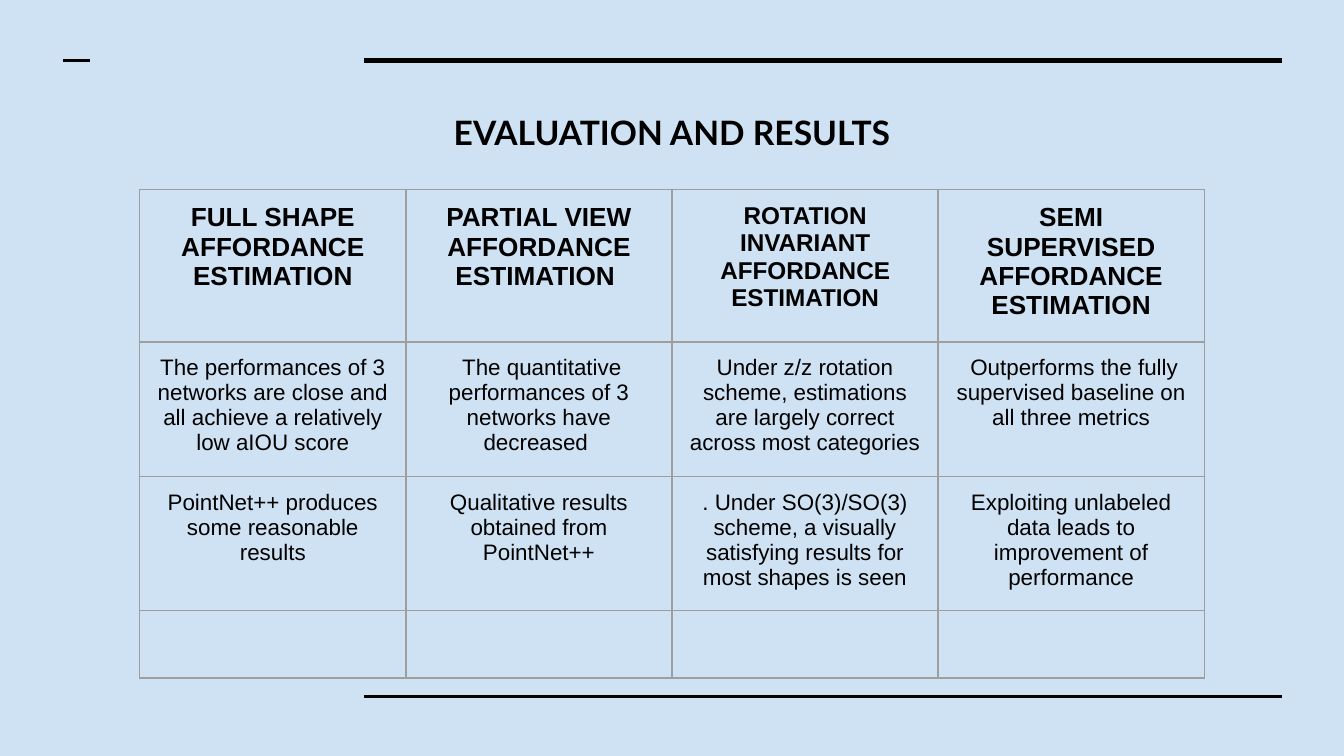
import lxml.etree
import pptx
import pptx.dml.color
import pptx.enum.shapes
import pptx.enum.text
import pptx.oxml.ns
import pptx.util

WIDTH = 10
HEIGHT = WIDTH * 9 / 16
INK, GRID, BACKGROUND = "000000", "9E9E9E", "CFE2F3"
INSET = 0.1
COLUMN_WIDTH = 1.98
ROW_HEIGHTS = [1.13, 1, 1, 0.5]
HEADING_SIZES = [14, 14, 13, 14]
RESULTS = [
    [
        "FULL SHAPE AFFORDANCE ESTIMATION",
        "PARTIAL VIEW AFFORDANCE ESTIMATION ",
        "ROTATION INVARIANT AFFORDANCE ESTIMATION",
        "SEMI SUPERVISED AFFORDANCE ESTIMATION",
    ],
    [
        "The performances of 3 networks are close and all achieve a relatively low aIOU score",
        " The quantitative performances of 3 networks have decreased ",
        "Under z/z rotation scheme, estimations are largely correct across most categories",
        " Outperforms the fully supervised baseline on all three metrics",
    ],
    [
        "PointNet++ produces some reasonable results",
        "Qualitative results obtained from PointNet++",
        ". Under SO(3)/SO(3) scheme, a visually satisfying results for most shapes is seen",
        "Exploiting unlabeled data leads to improvement of performance",
    ],
    [""] * 4,
]


def color(value):
    return pptx.dml.color.RGBColor.from_string(value)


def inches(*lengths):
    return [pptx.util.Inches(length) for length in lengths]


def set_insets(holder):
    holder.margin_left, holder.margin_top, holder.margin_right, holder.margin_bottom = inches(*[INSET] * 4)


def write(frame, text, size=12, font="Arial", bold=False, ink=INK):
    frame.word_wrap = True
    paragraph = frame.paragraphs[0]
    paragraph.alignment = pptx.enum.text.PP_ALIGN.CENTER
    run = paragraph.add_run()
    run.text = text
    run.font.size = pptx.util.Pt(size)
    run.font.name = font
    run.font.bold = bold
    run.font.color.rgb = color(ink)


def add_rule(slide, left, right, y, weight):
    rule = slide.shapes.add_connector(
        pptx.enum.shapes.MSO_CONNECTOR.STRAIGHT, *inches(left, y, right, y)
    )
    rule.line.color.rgb = color(INK)
    rule.line.width = pptx.util.Pt(weight)
    lxml.etree.SubElement(rule._element.spPr, pptx.oxml.ns.qn("a:effectLst"))


def add_frame_rules(slide, left, top, right, bottom):
    long_start = 2.71
    add_rule(slide, long_start, right, top, 3)
    add_rule(slide, long_start, right, bottom, 1.5)
    add_rule(slide, left, left + 0.2, top, 1.5)


def add_title(slide, left, top, width, height):
    title = slide.shapes.add_textbox(*inches(left, top, width, height)).text_frame
    set_insets(title)
    write(title, "EVALUATION AND RESULTS", size=18, font="Lato", bold=True)


def add_borders(cell, ink, weight):
    properties = cell._tc.get_or_add_tcPr()
    for position, side in enumerate(["lnL", "lnR", "lnT", "lnB"]):
        border = lxml.etree.Element(
            pptx.oxml.ns.qn(f"a:{side}"), w=str(pptx.util.Pt(weight))
        )
        fill = lxml.etree.SubElement(border, pptx.oxml.ns.qn("a:solidFill"))
        lxml.etree.SubElement(fill, pptx.oxml.ns.qn("a:srgbClr"), val=ink)
        properties.insert(position, border)


def add_results(slide, left, top, width, height):
    results = slide.shapes.add_table(
        len(RESULTS), len(RESULTS[0]), *inches(left, top, width, height)
    ).table
    results.first_row = results.horz_banding = False
    for column in results.columns:
        column.width = pptx.util.Inches(width / len(RESULTS[0]))
    for row, row_height in zip(results.rows, ROW_HEIGHTS):
        row.height = pptx.util.Inches(row_height)
    for row_index, findings in enumerate(RESULTS):
        heading = row_index == 0
        for column_index, finding in enumerate(findings):
            cell = results.cell(row_index, column_index)
            set_insets(cell)
            cell.fill.background()
            add_borders(cell, GRID, 0.75)
            if finding:
                size = HEADING_SIZES[column_index] if heading else 12
                write(cell.text_frame, finding, size=size, bold=heading)


def main():
    presentation = pptx.Presentation()
    presentation.slide_width, presentation.slide_height = inches(WIDTH, HEIGHT)
    slide = presentation.slides.add_slide(presentation.slide_layouts[6])
    slide.background.fill.solid()
    slide.background.fill.fore_color.rgb = color(BACKGROUND)
    add_frame_rules(slide, 0.47, 0.45, 9.54, 5.18)
    add_title(slide, 0.89, 0.73, 8.22, 0.5)
    table_width = COLUMN_WIDTH * len(RESULTS[0])
    add_results(slide, (WIDTH - table_width) / 2, 1.41, table_width, sum(ROW_HEIGHTS))
    presentation.save("out.pptx")


if __name__ == "__main__":
    main()
